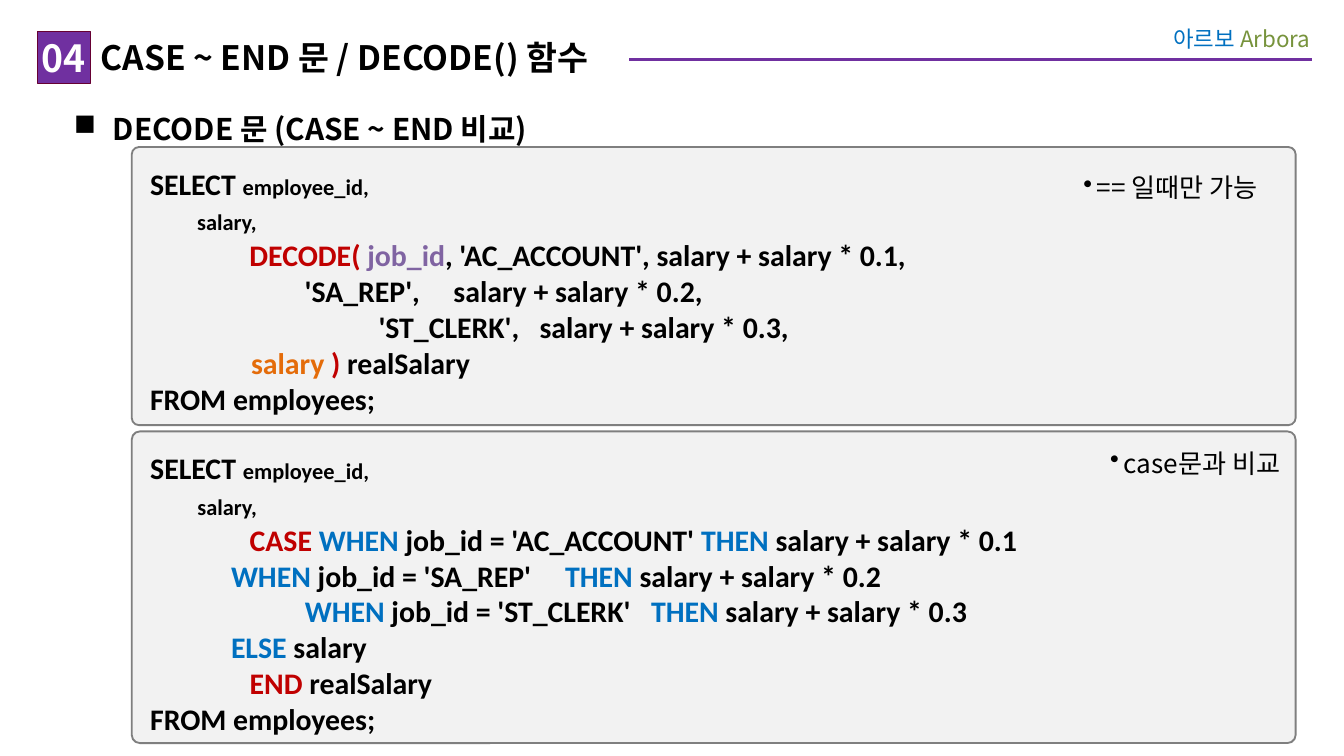
from lxml import etree
from pptx import Presentation
from pptx import util as u
from pptx.dml.color import RGBColor
from pptx.enum import shapes, text
from pptx.oxml.ns import qn

Pt = u.Pt
COLORS = {
    "black": "000000", "white": "FFFFFF", "purple": "7030A0", "plum": "660033",
    "blue": "0070C0", "green": "77933C", "red": "C00000", "violet": "8064A2",
    "orange": "E46C0A", "panel": "F2F2F2", "border": "7F7F7F",
}
KOREAN = "Noto Sans CJK KR"
CODE_FONT = "Calibri"
CODE_TABS = (49.68, 72, 144)

SELECT_LINES = [
    [("SELECT ",), ("employee_id,", "black", 12)],
    [("       ",), ("salary,", "black", 12)],
]
FROM_LINE = [("FROM employees;",)]
DECODE_QUERY = SELECT_LINES + [
    [("\t ",), ("DECODE( ", "red"), ("job_id", "violet"),
     (", 'AC_ACCOUNT', salary + salary * 0.1,",)],
    [("                       'SA_REP',     salary + salary * 0.2,",)],
    [("\t\t              'ST_CLERK',   salary + salary * 0.3,",)],
    [("               ",), ("salary ", "orange"), (") ", "red"), ("realSalary",)],
    FROM_LINE,
]
CASE_QUERY = SELECT_LINES + [
    [("\t ",), ("CASE ", "red"), ("WHEN", "blue"), (" job_id = 'AC_ACCOUNT' ",),
     ("THEN", "blue"), (" salary + salary * 0.1",)],
    [("            ",), ("WHEN", "blue"), (" job_id = 'SA_REP'     ",),
     ("THEN", "blue"), (" salary + salary * 0.2",)],
    [("\t\t   ",), ("WHEN", "blue"), (" job_id = 'ST_CLERK'   ",),
     ("THEN", "blue"), (" salary + salary * 0.3",)],
    [("            ",), ("ELSE", "blue"), (" salary",)],
    [("\t ",), ("END", "red"), (" realSalary",)],
    FROM_LINE,
]


def rgb(color):
    return RGBColor.from_string(COLORS[color])


def set_font(paragraph, name, size, color="black", bold=False):
    """Set the paragraph font, for Latin and Korean letters alike."""
    font = paragraph.font
    font.name, font.size, font.bold = name, Pt(size), bold
    if color:
        font.color.rgb = rgb(color)
    east_asian = etree.SubElement(paragraph._p.pPr.find(qn("a:defRPr")), qn("a:ea"))
    east_asian.set("typeface", name)


def add_bullet(paragraph, char, left, hang):
    props = paragraph._p.get_or_add_pPr()
    props.set("marL", str(Pt(left)))
    props.set("indent", str(-Pt(hang)))
    bullet_color = etree.SubElement(props, qn("a:buClr"))
    etree.SubElement(bullet_color, qn("a:srgbClr")).set("val", COLORS["black"])
    etree.SubElement(props, qn("a:buChar")).set("char", char)


def add_tabs(paragraph, stops):
    tabs = etree.SubElement(paragraph._p.get_or_add_pPr(), qn("a:tabLst"))
    for stop in stops:
        tab = etree.SubElement(tabs, qn("a:tab"))
        tab.set("pos", str(Pt(stop)))
        tab.set("algn", "l")


def set_frame(frame, insets, anchor=text.MSO_ANCHOR.TOP):
    frame.word_wrap = True
    frame.vertical_anchor = anchor
    (frame.margin_left, frame.margin_top,
     frame.margin_right, frame.margin_bottom) = map(Pt, insets)


def add_textbox(slide, box, insets):
    frame = slide.shapes.add_textbox(*map(Pt, box)).text_frame
    set_frame(frame, insets)
    return frame.paragraphs[0]


def add_block(slide, kind, box, fill, line=None, width=1):
    block = slide.shapes.add_shape(kind, *map(Pt, box))
    block.shadow.inherit = False
    block.fill.solid()
    block.fill.fore_color.rgb = rgb(fill)
    if line:
        block.line.color.rgb = rgb(line)
        block.line.width = Pt(width)
    else:
        block.line.fill.background()
    return block


def add_header_rule(slide):
    rule = slide.shapes.add_connector(
        shapes.MSO_CONNECTOR.STRAIGHT, Pt(702.7), Pt(31.7), Pt(51.1), Pt(31.7))
    rule.line.color.rgb = rgb("purple")
    rule.line.width = Pt(1.5)
    etree.SubElement(rule._element.spPr, qn("a:effectLst"))


def add_subject(slide):
    subject = add_textbox(slide, (598.3, 7.9, 110.9, 25.9), (7.2, 5.76, 7.2, 5.76))
    subject.alignment = text.PP_ALIGN.RIGHT
    set_font(subject, KOREAN, 12, color=None)
    for word, color in (("아르보 ", "blue"), ("Arbora", "green")):
        run = subject.add_run()
        run.text = word
        run.font.color.rgb = rgb(color)


def add_heading(slide, box, words, size, color, fill, insets, anchor, align, line=None):
    block = add_block(slide, shapes.MSO_SHAPE.RECTANGLE, box, fill, line, 0.25)
    set_frame(block.text_frame, insets, anchor)
    heading = block.text_frame.paragraphs[0]
    heading.text = words
    heading.alignment = align
    set_font(heading, KOREAN, size, color, bold=True)


def add_bullet_line(slide, box, words, size, char, left, hang, bold=False):
    item = add_textbox(slide, box, (8.64, 0, 7.2, 3.6))
    item.text = words
    item.line_spacing = 1.5
    add_bullet(item, char, left, hang)
    set_font(item, KOREAN, size, bold=bold)


def add_code_panel(slide, top, height, query):
    panel = add_block(slide, shapes.MSO_SHAPE.ROUNDED_RECTANGLE,
                      (70.6, top, 623.5, height), "panel", "border")
    panel.adjustments[0] = 0.026
    frame = panel.text_frame
    set_frame(frame, (8.64,) * 4)
    for number, segments in enumerate(query):
        line = frame.add_paragraph() if number else frame.paragraphs[0]
        line.alignment = text.PP_ALIGN.LEFT
        add_tabs(line, CODE_TABS)
        set_font(line, CODE_FONT, 16, bold=True)
        for code, *style in segments:
            run = line.add_run()
            run.text = code
            if style:
                run.font.color.rgb = rgb(style[0])
            if len(style) > 1:
                run.font.size = Pt(style[1])


def main():
    deck = Presentation()
    deck.slide_width, deck.slide_height = Pt(720), Pt(405)
    slide = deck.slides.add_slide(deck.slide_layouts[6])

    add_header_rule(slide)
    add_subject(slide)
    add_heading(slide, (48.2, 16.6, 288.7, 27.4), "CASE ~ END 문 / DECODE() 함수", 18,
                "black", "white", (5.76, 2.88, 0, 2.88),
                text.MSO_ANCHOR.TOP, text.PP_ALIGN.LEFT)
    add_bullet_line(slide, (31, 49.7, 578.9, 33.8), "DECODE 문 (CASE ~ END 비교)",
                    16, "■", 20.9, 20.9, bold=True)
    add_heading(slide, (20.2, 16.6, 28.1, 28.1), "04", 20, "white", "purple", (0,) * 4,
                text.MSO_ANCHOR.MIDDLE, text.PP_ALIGN.CENTER, line="plum")
    add_code_panel(slide, 78.8, 149, DECODE_QUERY)
    add_code_panel(slide, 231.1, 167, CASE_QUERY)
    add_bullet_line(slide, (564.5, 231.1, 142.6, 28.1), "case문과 비교",
                    14, "•", 28.8, 7.2)
    add_bullet_line(slide, (550.1, 83.5, 147.6, 28.1), "== 일때만 가능",
                    14, "•", 28.8, 7.2)
    deck.save("out.pptx")


if __name__ == "__main__":
    main()
